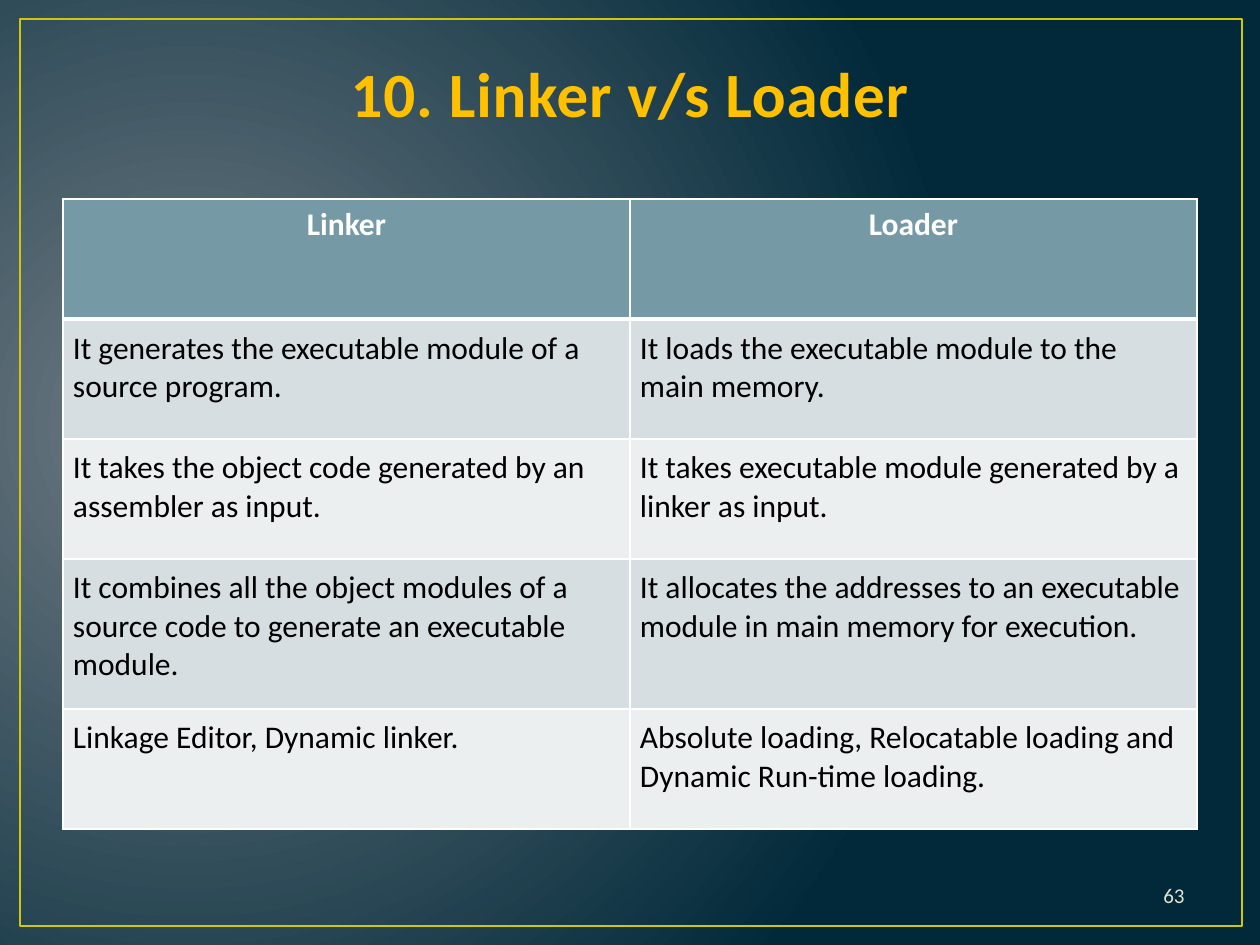
from lxml import etree
from pptx import Presentation, util as u
from pptx.dml.color import RGBColor
from pptx.enum import shapes, text
from pptx.oxml import parse_xml
from pptx.oxml.ns import nsdecls, qn

PX = 914400 / 126
FONT = "Calibri"
HEADERS = ("Linker", "Loader")
COMPARISON = (
    ("It generates the executable module of a source program.",
     "It loads the executable module to the main memory."),
    ("It takes the object code generated by an assembler as input.",
     "It takes executable module generated by a linker as input."),
    ("It combines all the object modules of a source code to generate an executable module.",
     "It allocates the addresses to an executable module in main memory for execution."),
    ("Linkage Editor, Dynamic linker.",
     "Absolute loading, Relocatable loading and Dynamic Run-time loading."),
)
ROW_HEIGHTS = (120, 120, 120, 150, 120)
BANDS = ("D6DEE1", "ECEFF0")


def px(*lengths):
    return [u.Emu(round(length * PX)) for length in lengths]


def colour(value):
    return RGBColor.from_string(value)


def solid_xml(value):
    return f'<a:solidFill><a:srgbClr val="{value}"/></a:solidFill>'


def write(frame, words, size, ink, align, bold=False):
    frame.text = words
    frame.word_wrap = True
    paragraph = frame.paragraphs[0]
    paragraph.alignment = align
    run = paragraph.runs[0]
    run.font.name, run.font.size, run.font.bold = FONT, u.Pt(size), bold
    run.font.color.rgb = colour(ink)
    return run


def add_background(slide):
    slide.background.fill.solid()
    properties = slide.background._cSld.find(qn("p:bg")).find(qn("p:bgPr"))
    properties.replace(properties[0], parse_xml(
        f'<a:gradFill {nsdecls("a")} rotWithShape="1"><a:gsLst>'
        '<a:gs pos="0"><a:srgbClr val="717C84"/></a:gs>'
        '<a:gs pos="100000"><a:srgbClr val="01293A"/></a:gs></a:gsLst>'
        '<a:path path="circle"><a:fillToRect l="15000" t="50000" r="85000" b="60000"/>'
        '</a:path></a:gradFill>'))


def add_frame(slide):
    frame = slide.shapes.add_shape(shapes.MSO_SHAPE.RECTANGLE, *px(20, 19, 1222, 907))
    frame.shadow.inherit = False
    frame.fill.background()
    frame.line.color.rgb = colour("CFC60D")
    frame.line.width = u.Pt(1.5)


def add_title(slide):
    title = slide.shapes.title
    title.left, title.top, title.width, title.height = px(63, -21, 1134, 157)
    title.text_frame.vertical_anchor = text.MSO_ANCHOR.BOTTOM
    run = write(title.text_frame, "10. Linker v/s Loader", 36, "FFC000",
                text.PP_ALIGN.CENTER, bold=True)
    # Letter spacing and thin outline
    properties = run.font._element
    properties.set("spc", "50")
    properties.insert(0, parse_xml(
        f'<a:ln {nsdecls("a")} w="13335">{solid_xml("384F55")}</a:ln>'))


def set_borders(cell, bottom):
    properties = cell._tc.get_or_add_tcPr()
    for place, (side, width) in enumerate((("L", 1), ("R", 1), ("T", 1), ("B", bottom))):
        properties.insert(place, parse_xml(
            f'<a:ln{side} {nsdecls("a")} w="{u.Pt(width)}">{solid_xml("FFFFFF")}</a:ln{side}>'))


def fill_cell(cell, words, row):
    header = row == 0
    cell.fill.solid()
    cell.fill.fore_color.rgb = colour("759AA5" if header else BANDS[(row - 1) % 2])
    if header:
        write(cell.text_frame, words, 18, "FFFFFF", text.PP_ALIGN.CENTER, bold=True)
    else:
        write(cell.text_frame, words, 18, "000000", text.PP_ALIGN.LEFT)
        cell.margin_left, cell.margin_top, cell.margin_right, cell.margin_bottom = px(*[10] * 4)
    set_borders(cell, bottom=3 if header else 1)


def add_comparison(slide):
    rows = (HEADERS, *COMPARISON)
    table = slide.shapes.add_table(
        len(rows), len(HEADERS), *px(63, 199, 1134, sum(ROW_HEIGHTS))).table
    for row, (entries, height) in enumerate(zip(rows, px(*ROW_HEIGHTS))):
        table.rows[row].height = height
        for column, words in enumerate(entries):
            fill_cell(table.cell(row, column), words, row)


def add_page_number(slide):
    number = slide.shapes.add_textbox(*px(903, 870, 294, 50))
    number.text_frame.vertical_anchor = text.MSO_ANCHOR.MIDDLE
    write(number.text_frame, "63", 12, "DFE6D0", text.PP_ALIGN.RIGHT)


def main():
    deck = Presentation()
    deck.slide_width, deck.slide_height = px(1260, 945)
    slide = deck.slides.add_slide(deck.slide_layouts[5])
    add_background(slide)
    add_frame(slide)
    add_title(slide)
    add_comparison(slide)
    add_page_number(slide)
    deck.save("out.pptx")


if __name__ == "__main__":
    main()
